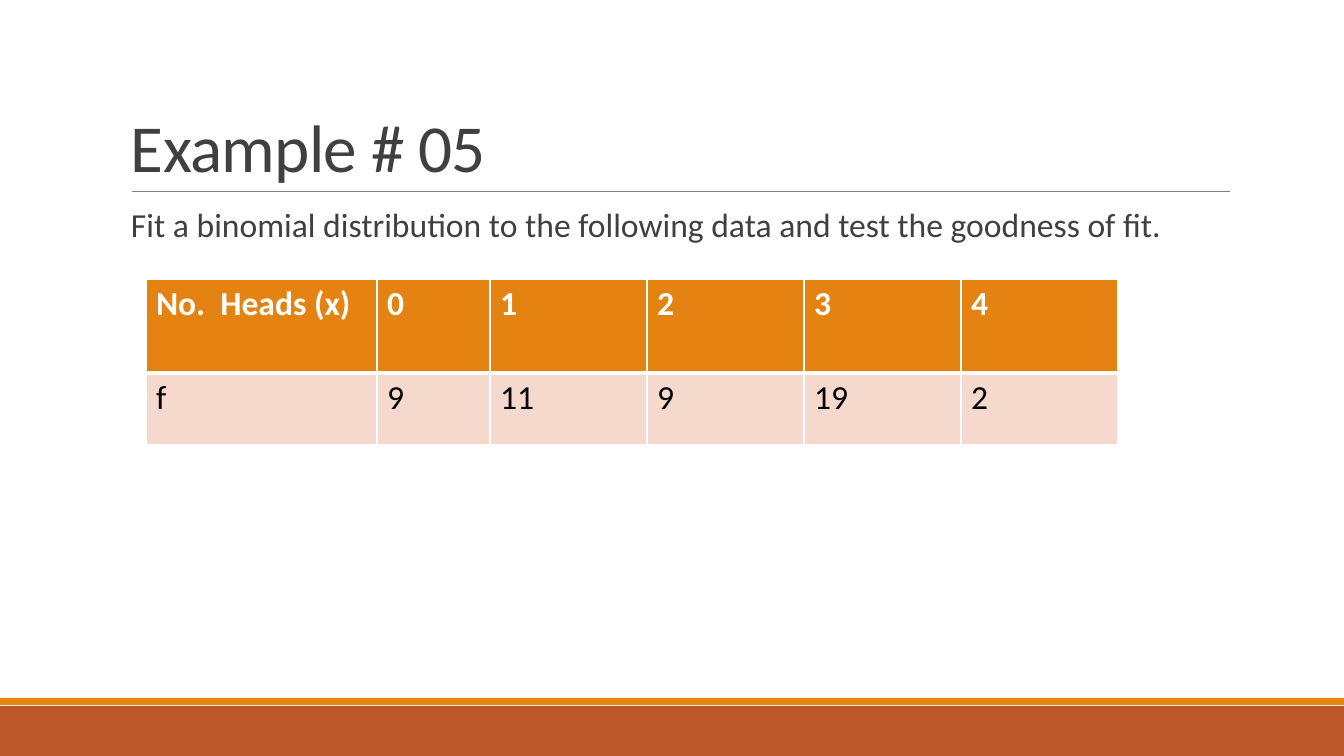
from lxml.etree import SubElement
from pptx import Presentation
from pptx.dml.color import RGBColor
from pptx.enum.shapes import MSO_CONNECTOR as Connector, MSO_SHAPE as Shape
from pptx.enum.text import MSO_ANCHOR as Anchor
from pptx.oxml.ns import qn
from pptx.util import Emu, Pt

WHITE = RGBColor(0xFF, 0xFF, 0xFF)
BLACK = RGBColor(0x00, 0x00, 0x00)
CHARCOAL = RGBColor(0x40, 0x40, 0x40)
GRAY = RGBColor(0x80, 0x80, 0x80)
ORANGE = RGBColor(0xE4, 0x83, 0x12)
RUST = RGBColor(0xBD, 0x58, 0x2C)
BLUSH = RGBColor(0xF5, 0xD9, 0xCC)

WIDTH, HEIGHT = 1344, 756


def px(length):
    return Emu(round(length * 914400 / 100.8))


class SlideBuilder:
    font = "Calibri"

    def __init__(self, deck):
        self.slide = deck.slides.add_slide(deck.slide_layouts[6])
        self.shapes = self.slide.shapes

    def band(self, top, height, color):
        bar = self.shapes.add_shape(Shape.RECTANGLE, 0, px(top), px(WIDTH), px(height))
        bar.shadow.inherit = False
        bar.fill.solid()
        bar.fill.fore_color.rgb = color
        bar.line.fill.background()

    def rule(self, left, right, y, color, weight):
        line = self.shapes.add_connector(Connector.STRAIGHT, px(left), px(y), px(right), px(y))
        line.line.color.rgb = color
        line.line.width = Pt(weight)
        SubElement(line._element.spPr, qn("a:effectLst"))

    def add_run(self, para, text, size, color, bold=False):
        span = para.add_run()
        span.text = text
        font = span.font
        font.name, font.size, font.bold = self.font, Pt(size), bold
        font.color.rgb = color
        return span

    def text(self, left, top, width, height, text, size, color, spacing, anchor, tracking=0):
        box = self.shapes.add_textbox(px(left), px(top), px(width), px(height))
        frame = box.text_frame
        frame.word_wrap = True
        frame.vertical_anchor = anchor
        frame.margin_left = frame.margin_right = 0
        para = frame.paragraphs[0]
        para.line_spacing = spacing
        span = self.add_run(para, text, size, color)
        if tracking:
            span.font._element.set("spc", str(round(tracking * 100)))

    def border(self, cell, side, weight):
        line = SubElement(cell._tc.get_or_add_tcPr(), qn(f"a:ln{side}"), w=str(Pt(weight)))
        fill = SubElement(line, qn("a:solidFill"))
        SubElement(fill, qn("a:srgbClr"), val=str(WHITE))

    def table(self, left, top, widths, heights, rows, styles, size):
        frame = self.shapes.add_table(len(rows), len(widths), px(left), px(top),
                                      px(sum(widths)), px(sum(heights)))
        table = frame.table
        for column, width in zip(table.columns, widths):
            column.width = px(width)
        for r, (values, height, style) in enumerate(zip(rows, heights, styles)):
            table.rows[r].height = px(height)
            fill, color, bold, top_weight, bottom_weight = style
            for c, value in enumerate(values):
                cell = table.cell(r, c)
                # Borders come before the fill in the cell properties
                for side, weight in zip("LRTB", (1, 1, top_weight, bottom_weight)):
                    self.border(cell, side, weight)
                cell.fill.solid()
                cell.fill.fore_color.rgb = fill
                self.add_run(cell.text_frame.paragraphs[0], value, size, color, bold)


def main():
    deck = Presentation()
    deck.slide_width, deck.slide_height = px(WIDTH), px(HEIGHT)
    page = SlideBuilder(deck)

    # Footer bands and title rule
    page.band(706, 50, RUST)
    page.band(698, 7, ORANGE)
    page.rule(132, 1230, 191, GRAY, 0.5)

    # Title and task
    page.text(131, 31, 1089, 160, "Example # 05", 48, CHARCOAL, 0.85, Anchor.BOTTOM, -0.5)
    page.text(131, 204, 1099, 443,
              "Fit a binomial distribution to the following data and test the goodness of fit.",
              24, CHARCOAL, 0.9, Anchor.TOP)

    # Observed frequencies: fill, text colour, bold, top and bottom border per row
    page.table(146, 279, [231, 113] + [157] * 4, [94, 72],
               [["No.  Heads (x)", "0", "1", "2", "3", "4"],
                ["f", "9", "11", "9", "19", "2"]],
               [(ORANGE, WHITE, True, 1, 3), (BLUSH, BLACK, False, 3, 1)], 24)

    deck.save("out.pptx")


if __name__ == "__main__":
    main()
